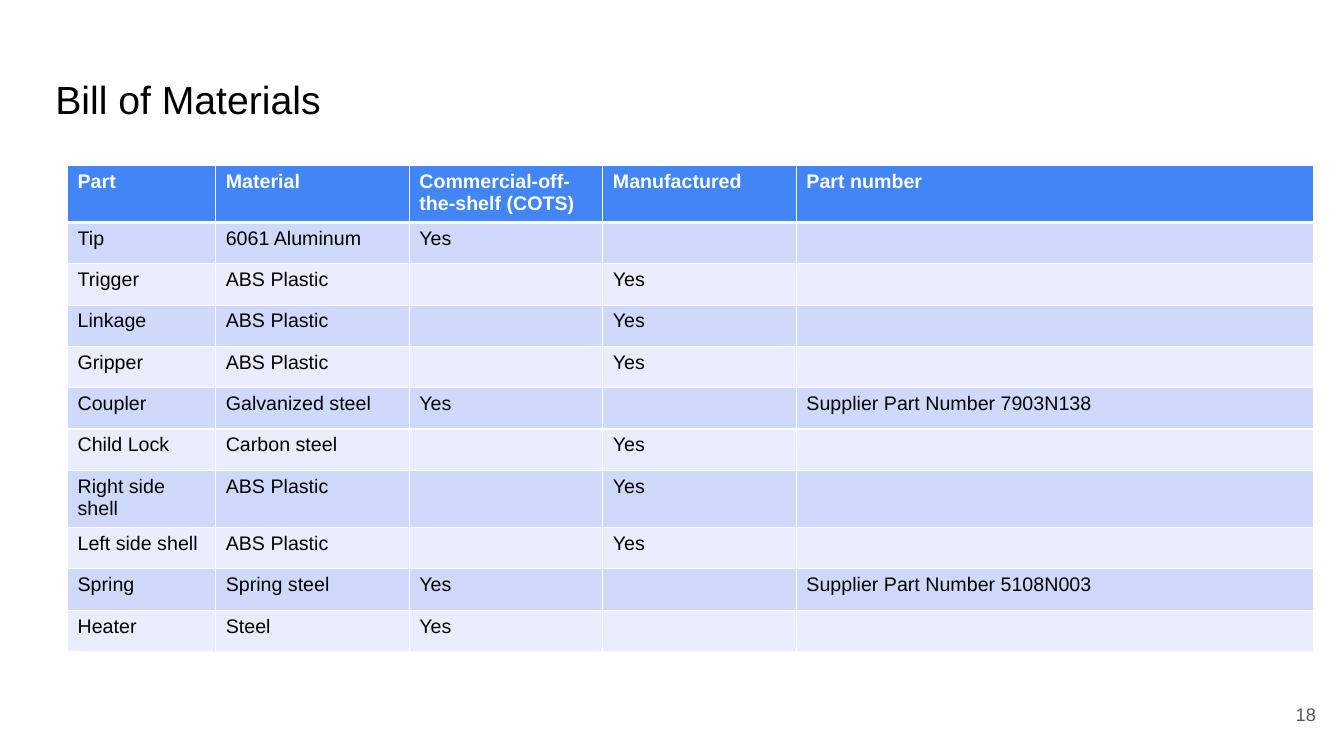
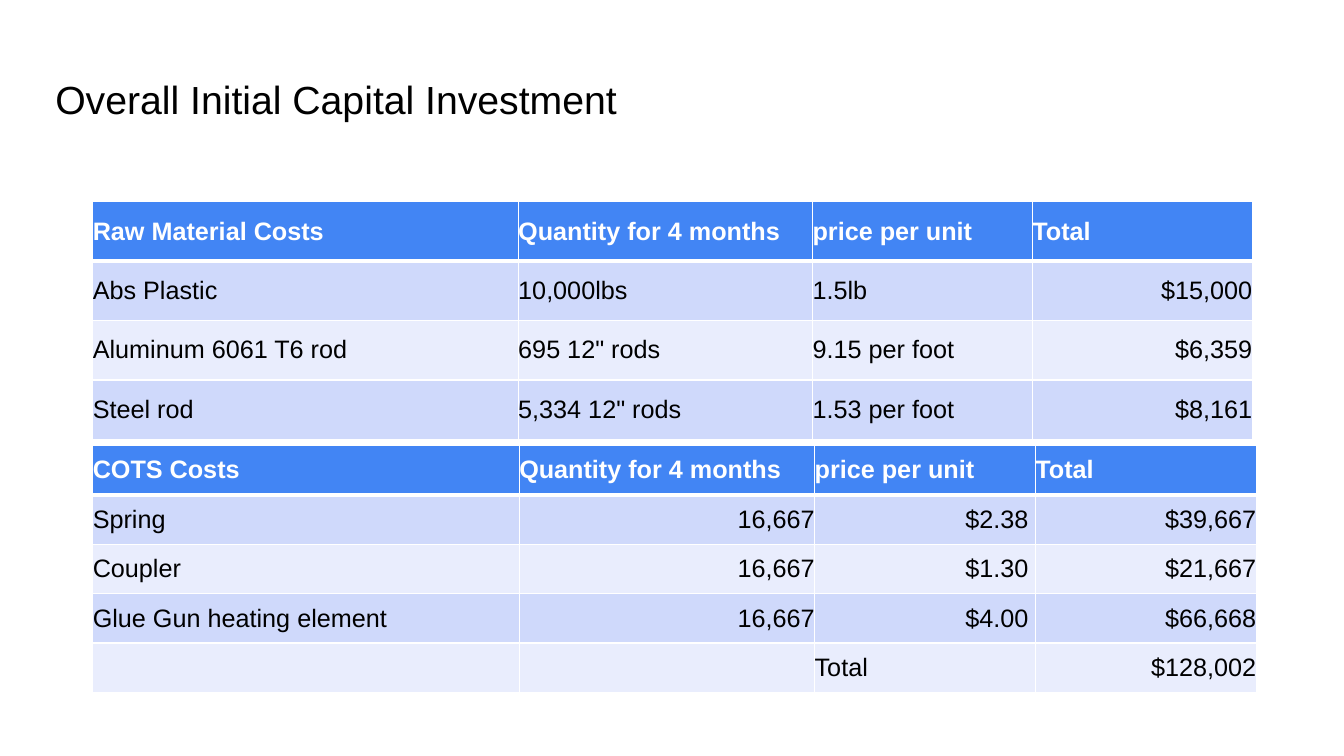
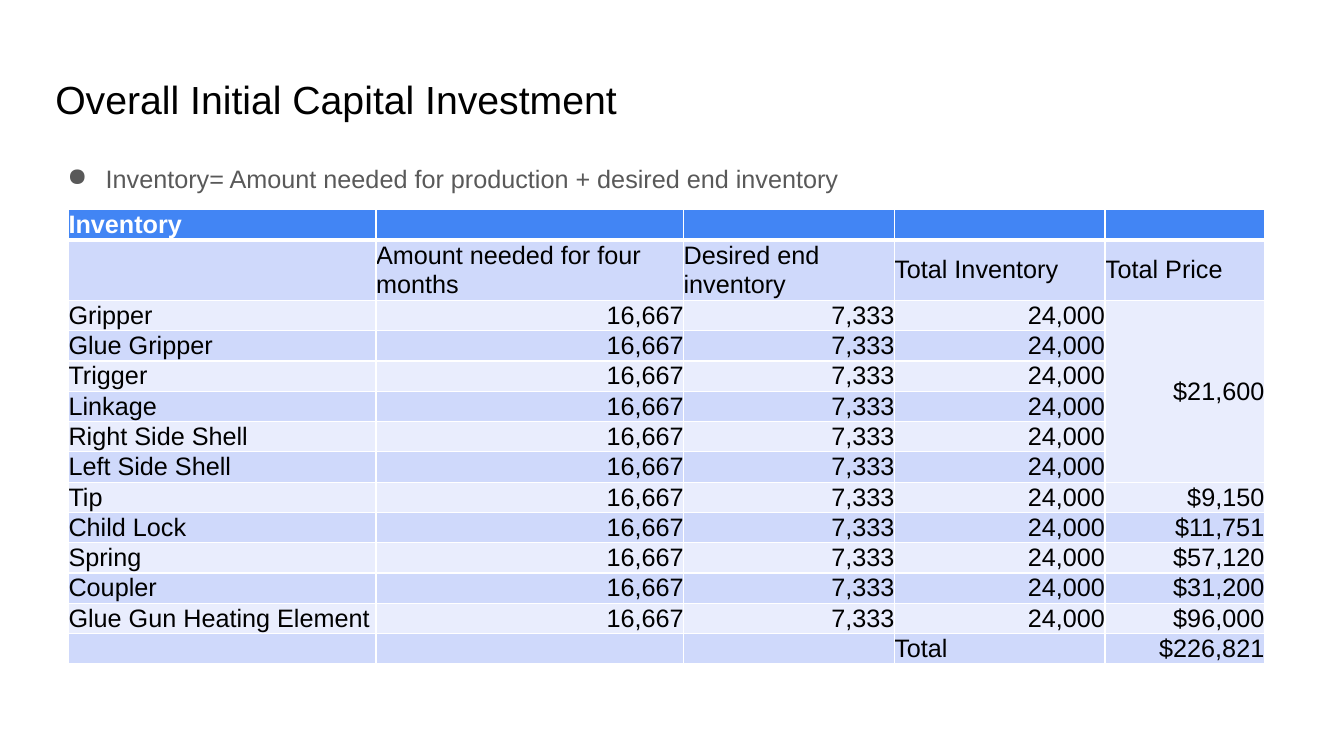
from dataclasses import dataclass

from lxml import etree
from pptx import Presentation
from pptx import util as u
from pptx.dml.color import RGBColor
from pptx.enum import text
from pptx.oxml.ns import qn

COLORS = {
    "header": "4285F4",
    "band_dark": "CFD9FB",
    "band_light": "E9EDFD",
    "white": "FFFFFF",
    "black": "000000",
    "gray": "595959",
}
FONT = "Arial"
LEFT, RIGHT = text.PP_ALIGN.LEFT, text.PP_ALIGN.RIGHT
TOP, MIDDLE = text.MSO_ANCHOR.TOP, text.MSO_ANCHOR.MIDDLE


@dataclass(frozen=True)
class TextSpec:
    content: str
    box: tuple[float, float, float, float]
    size: int
    color: str
    align: int = LEFT
    anchor: int = TOP


@dataclass(frozen=True)
class TableSpec:
    left: float
    top: float
    cols: list[float]
    row_height: float
    rows: list[list[str]]
    size: int = 18
    margins: tuple[float, float] = (0, 0)
    anchor: int = MIDDLE
    merge: tuple[int, int, int, int] | None = None


def add_run(p, content: str, size: int, color: str, bold: bool = False) -> None:
    r = p.add_run()
    r.text = content
    r.font.name = FONT
    r.font.size = u.Pt(size)
    r.font.bold = bold
    r.font.color.rgb = RGBColor.from_string(COLORS[color])


def add_text(s, spec: TextSpec):
    sp = s.shapes.add_textbox(*map(u.Inches, spec.box))
    tf = sp.text_frame
    tf.word_wrap = True
    tf.vertical_anchor = spec.anchor
    tf.margin_left = tf.margin_right = tf.margin_top = tf.margin_bottom = u.Inches(0.1)
    p = tf.paragraphs[0]
    p.alignment = spec.align
    add_run(p, spec.content, spec.size, spec.color)
    return p


def add_bullet(p, color: str) -> None:
    pPr = p._p.get_or_add_pPr()
    pPr.set("marL", str(u.Inches(0.5)))
    pPr.set("indent", str(u.Inches(-0.38)))
    clr = etree.SubElement(pPr, qn("a:buClr"))
    etree.SubElement(clr, qn("a:srgbClr"), val=COLORS[color])
    etree.SubElement(pPr, qn("a:buChar"), char="●")


def set_borders(cell, top: int, bottom: int) -> None:
    tcPr = cell._tc.get_or_add_tcPr()
    for side, width in (("L", 1), ("R", 1), ("T", top), ("B", bottom)):
        ln = etree.SubElement(tcPr, qn(f"a:ln{side}"), w=str(u.Pt(width)))
        fill = etree.SubElement(ln, qn("a:solidFill"))
        etree.SubElement(fill, qn("a:srgbClr"), val=COLORS["white"])


def is_amount(value: str) -> bool:
    return value.startswith("$") or value.replace(",", "").isdigit()


def add_table(s, spec: TableSpec) -> None:
    n = len(spec.rows)
    frame = s.shapes.add_table(
        n, len(spec.cols), u.Inches(spec.left), u.Inches(spec.top),
        u.Inches(sum(spec.cols)), u.Inches(spec.row_height * n))
    table = frame.table
    table.first_row = table.horz_banding = False
    for col, width in zip(table.columns, spec.cols):
        col.width = u.Inches(width)
    for i, values in enumerate(spec.rows):
        table.rows[i].height = u.Inches(spec.row_height)
        band = "header" if i == 0 else "band_dark" if i % 2 else "band_light"
        for j, value in enumerate(values):
            cell = table.cell(i, j)
            set_borders(cell, 3 if i == 1 else 1, 3 if i == 0 else 1)
            cell.fill.solid()
            cell.fill.fore_color.rgb = RGBColor.from_string(COLORS[band])
            side, edge = spec.margins
            cell.margin_left = cell.margin_right = u.Inches(side)
            cell.margin_top = cell.margin_bottom = u.Inches(edge)
            cell.vertical_anchor = spec.anchor
            if value:
                p = cell.text_frame.paragraphs[0]
                p.alignment = RIGHT if is_amount(value) else LEFT
                add_run(p, value, spec.size, "black" if i else "white", i == 0)
    if spec.merge:
        r1, c1, r2, c2 = spec.merge
        table.cell(r1, c1).merge(table.cell(r2, c2))


def add_slide(prs, title: str):
    s = prs.slides.add_slide(prs.slide_layouts[6])
    add_text(s, TextSpec(title, (0.45, 0.65, 12.42, 0.84), 28, "black"))
    return s


MATERIALS = TableSpec(0.67, 1.64, [1.47, 1.92, 1.92, 1.92, 5.13], 0.41, [
    ["Part", "Material", "Commercial-off-the-shelf (COTS)", "Manufactured", "Part number"],
    ["Tip", "6061 Aluminum", "Yes", "", ""],
    ["Trigger", "ABS Plastic", "", "Yes", ""],
    ["Linkage", "ABS Plastic", "", "Yes", ""],
    ["Gripper", "ABS Plastic", "", "Yes", ""],
    ["Coupler", "Galvanized steel", "Yes", "", "Supplier Part Number 7903N138"],
    ["Child Lock", "Carbon steel", "", "Yes", ""],
    ["Right side shell", "ABS Plastic", "", "Yes", ""],
    ["Left side shell", "ABS Plastic", "", "Yes", ""],
    ["Spring", "Spring steel", "Yes", "", "Supplier Part Number 5108N003"],
    ["Heater", "Steel", "Yes", "", ""],
], size=14, margins=(0.1, 0.05), anchor=TOP)

COST_HEADINGS = ["Quantity for 4 months", "price per unit", "Total"]

RAW_COSTS = TableSpec(0.92, 2, [4.22, 2.92, 2.18, 2.18], 0.59, [
    ["Raw Material Costs", *COST_HEADINGS],
    ["Abs Plastic", "10,000lbs", "1.5lb", "$15,000"],
    ["Aluminum 6061 T6 rod", '695 12" rods', "9.15 per foot", "$6,359"],
    ["Steel rod", '5,334 12" rods', "1.53 per foot", "$8,161"],
])

COTS_COSTS = TableSpec(0.92, 4.42, [4.23, 2.93, 2.19, 2.19], 0.49, [
    ["COTS Costs", *COST_HEADINGS],
    ["Spring", "16,667", "$2.38 ", "$39,667"],
    ["Coupler", "16,667", "$1.30 ", "$21,667"],
    ["Glue Gun heating element", "16,667", "$4.00 ", "$66,668"],
    ["", "", "Total", "$128,002"],
])

INVENTORY_PRICES = [
    ("Gripper", "$21,600"),
    ("Glue Gripper", ""),
    ("Trigger", ""),
    ("Linkage", ""),
    ("Right Side Shell", ""),
    ("Left Side Shell", ""),
    ("Tip", "$9,150"),
    ("Child Lock", "$11,751"),
    ("Spring", "$57,120"),
    ("Coupler", "$31,200"),
    ("Glue Gun Heating Element", "$96,000"),
]

INVENTORY = TableSpec(0.68, 2.08, [3.05, 3.05, 2.09, 2.09, 1.58], 0.28, [
    ["Inventory", "", "", "", ""],
    ["", "Amount needed for four months", "Desired end inventory",
     "Total Inventory", "Total Price"],
    *([part, "16,667", "7,333", "24,000", price] for part, price in INVENTORY_PRICES),
    ["", "", "", "Total", "$226,821"],
], merge=(2, 4, 7, 4))


def main() -> None:
    prs = Presentation()
    prs.slide_width, prs.slide_height = u.Inches(13.33), u.Inches(7.5)

    s = add_slide(prs, "Bill of Materials")
    add_table(s, MATERIALS)
    add_text(s, TextSpec("18", (12.35, 6.8, 0.8, 0.57), 13, "gray", RIGHT, MIDDLE))

    s = add_slide(prs, "Overall Initial Capital Investment")
    for spec in (RAW_COSTS, COTS_COSTS):
        add_table(s, spec)

    s = add_slide(prs, "Overall Initial Capital Investment")
    p = add_text(s, TextSpec(
        "Inventory= Amount needed for production + desired end inventory",
        (0.45, 1.48, 12.42, 4.98), 18, "gray"))
    add_bullet(p, "gray")
    p.line_spacing = 1.15
    add_table(s, INVENTORY)

    prs.save("out.pptx")


if __name__ == "__main__":
    main()
